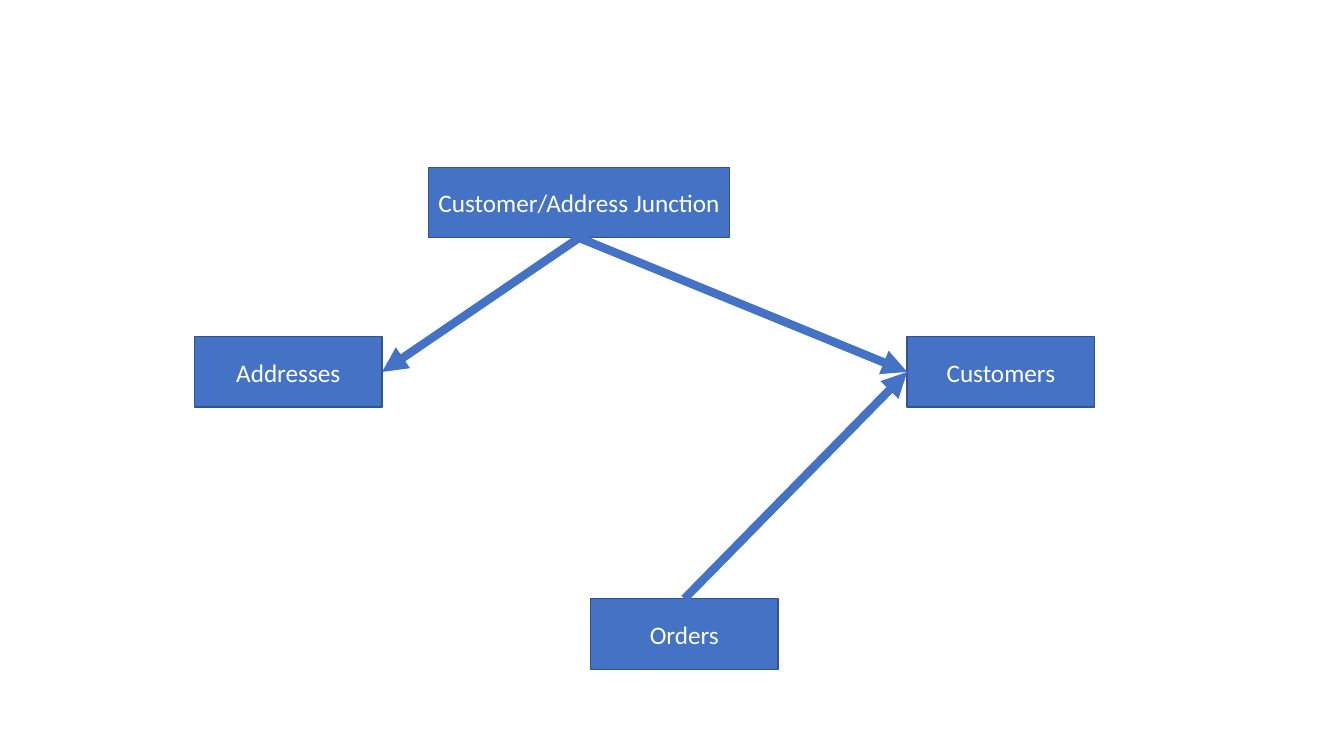
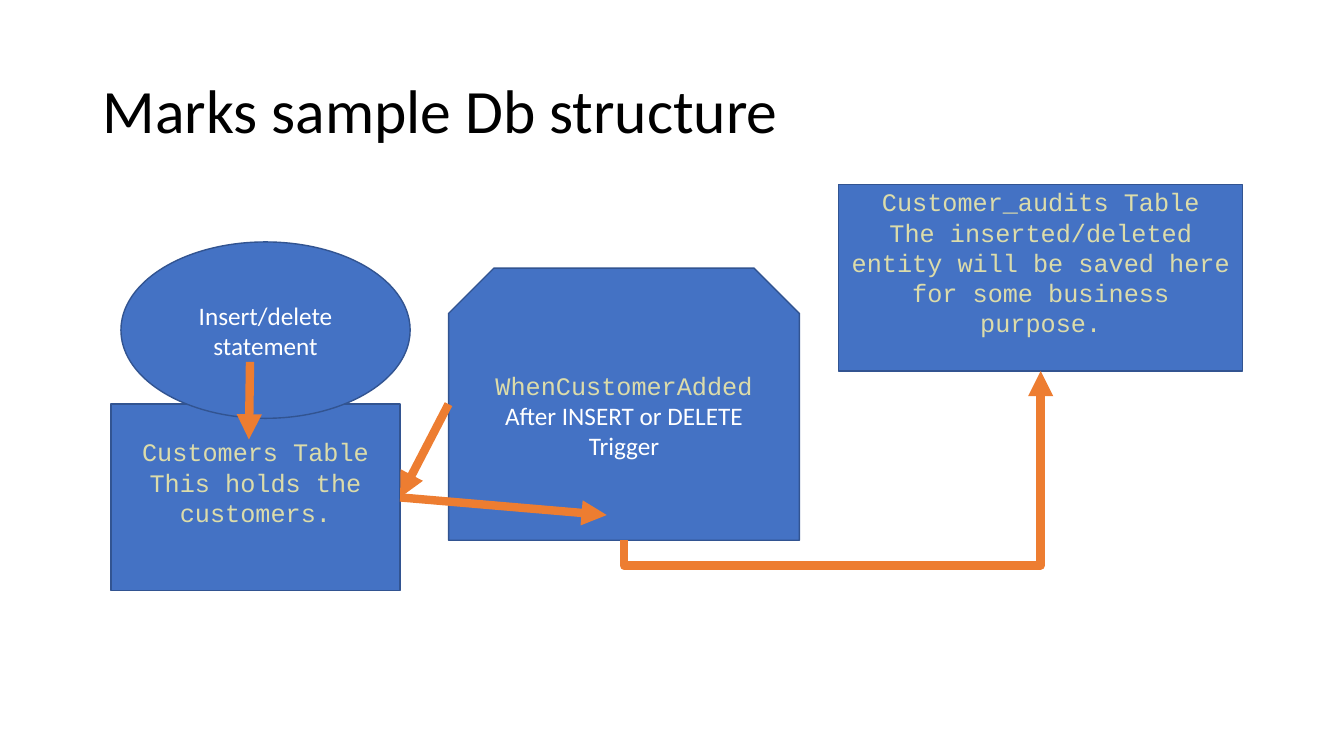
from pptx import Presentation
from pptx.dml.color import RGBColor
from pptx.enum.shapes import MSO_CONNECTOR as LINK, MSO_SHAPE as SHAPE
from pptx.enum.text import MSO_ANCHOR as ANCHOR, PP_ALIGN as ALIGN
from pptx.oxml.ns import qn
from pptx.util import Pt
from lxml.etree import SubElement

BLUE, EDGE, ORANGE = "4472C4", "325491", "ED7D31"
BODY = {"name": "Calibri", "size": Pt(18), "color": "FFFFFF"}
CODE = {"name": "Courier New", "size": Pt(18), "color": "DCDCAA"}
TITLE = {"name": "Calibri", "size": Pt(44), "color": "000000"}
TABLE_SIZE = (133.9, 50.4)
CODE_INSET = 25.6
TOP, LEFT, BOTTOM, RIGHT = range(4)


def paint(target, color):
    """Set a fill, line or font colour from a hex string."""
    target.rgb = RGBColor.from_string(color)


def style(font, formats):
    """Apply a dict of font values."""
    for key, value in formats.items():
        if key == "color":
            paint(font.color, value)
        else:
            setattr(font, key, value)


def place(shape, box):
    """Put a shape into a box given in points."""
    for key, value in zip(("left", "top", "width", "height"), box):
        setattr(shape, key, Pt(value))


def add_title(slide, text, box):
    """Move, fill and format the title placeholder."""
    title = slide.shapes.title
    place(title, box)
    frame = title.text_frame
    frame.text, frame.word_wrap = text, True
    frame.vertical_anchor = ANCHOR.MIDDLE
    line = frame.paragraphs[0]
    line.alignment, line.line_spacing = ALIGN.LEFT, 0.9
    style(line.runs[0].font, TITLE)


def add_node(slide, box, lines, kind=SHAPE.RECTANGLE, bottom_inset=3.6):
    """Draw a blue shape with centred lines of (text, format)."""
    node = slide.shapes.add_shape(kind, *map(Pt, box))
    node.shadow.inherit = False
    node.fill.solid()
    paint(node.fill.fore_color, BLUE)
    paint(node.line.color, EDGE)
    node.line.width = Pt(1)
    frame = node.text_frame
    frame.word_wrap = True
    frame.vertical_anchor = ANCHOR.MIDDLE
    frame.margin_bottom = Pt(bottom_inset)
    for index, (text, formats) in enumerate(lines):
        line = frame.add_paragraph() if index else frame.paragraphs[0]
        line.alignment = ALIGN.CENTER
        run = line.add_run()
        run.text = text
        style(run.font, formats)
    return node


def add_arrow(slide, start, end, color, kind=LINK.STRAIGHT):
    """Draw a thick arrow between two points."""
    arrow = slide.shapes.add_connector(kind, *map(Pt, (*start, *end)))
    paint(arrow.line.color, color)
    arrow.line.width = Pt(6)
    SubElement(arrow.line._get_or_add_ln(), qn("a:tailEnd"), type="triangle")
    SubElement(arrow._element.spPr, qn("a:effectLst"))
    return arrow


def add_elbow(slide, start, end, drop, color):
    """Draw an arrow that drops below its start, runs right, then rises to its end."""
    (x1, y1), (x2, y2) = start, end
    run, rise = x2 - x1, y1 - y2
    middle_x, middle_y = (x1 + x2) / 2, (y1 + y2) / 2
    # The elbow is laid out on its side, then turned by 90 degrees.
    elbow = add_arrow(slide, (middle_x + rise / 2, middle_y + run / 2),
                      (middle_x - rise / 2, middle_y - run / 2), color, LINK.ELBOW)
    properties = elbow._element.spPr
    properties.find(qn("a:xfrm")).set("rot", str(90 * 60000))
    guides = properties.find(qn("a:prstGeom")).get_or_add_avLst()
    SubElement(guides, qn("a:gd"), name="adj1", fmla=f"val {round(-drop / rise * 100000)}")


def build_relations(slide):
    """Show the tables and the references between them."""
    boxes = {
        "Customer/Address Junction": (306, 119.5, 215.3, 50.4),
        "Orders": (421.9, 427.7, *TABLE_SIZE),
        "Customers": (648, 240.5, *TABLE_SIZE),
        "Addresses": (139, 240.5, *TABLE_SIZE),
    }
    tables = {name: add_node(slide, box, [(name, BODY)]) for name, box in boxes.items()}
    references = [
        ("Customer/Address Junction", BOTTOM, "Customers", LEFT),
        ("Customer/Address Junction", BOTTOM, "Addresses", RIGHT),
        ("Orders", TOP, "Customers", LEFT),
    ]
    for source, source_side, target, target_side in references:
        arrow = add_arrow(slide, (0, 0), (0, 0), BLUE)
        arrow.begin_connect(tables[source], source_side)
        arrow.end_connect(tables[target], target_side)


def build_trigger_flow(slide):
    """Show how a statement fires the trigger that fills the audit table."""
    add_title(slide, "Marks sample Db structure", (66, 28.8, 828, 104.4))
    add_node(slide, (599, 131.8, 288.7, 133.2), [
        ("Customer_audits Table", CODE),
        ("The inserted/deleted entity will be saved here for some business purpose.", CODE),
    ], bottom_inset=CODE_INSET)
    add_node(slide, (79.2, 288.7, 206.6, 133.2), [
        ("Customers Table", CODE),
        ("This holds the customers.", CODE),
    ], bottom_inset=CODE_INSET)
    add_node(slide, (320.4, 191.5, 250.6, 194.4), [
        ("WhenCustomerAdded", CODE),
        ("After INSERT or DELETE", BODY),
        ("Trigger", BODY),
    ], SHAPE.SNIP_2_SAME_RECTANGLE)
    add_node(slide, (86.4, 172.8, 206.6, 126), [("Insert/delete statement", BODY)], SHAPE.OVAL)

    customers_right = (285.8, 355.3)
    add_arrow(slide, (320.4, 288.7), customers_right, ORANGE)
    add_elbow(slide, (445.7, 385.9), (743.3, 265), 18, ORANGE)
    add_arrow(slide, customers_right, (433.4, 367.9), ORANGE)
    add_arrow(slide, (178.6, 258.5), (177.8, 313.9), ORANGE)


def main():
    """Build and save both slides."""
    deck = Presentation()
    deck.slide_width, deck.slide_height = Pt(960), Pt(540)
    title_only, blank = deck.slide_layouts[5], deck.slide_layouts[6]
    build_relations(deck.slides.add_slide(blank))
    build_trigger_flow(deck.slides.add_slide(title_only))
    deck.save("out.pptx")


main()
